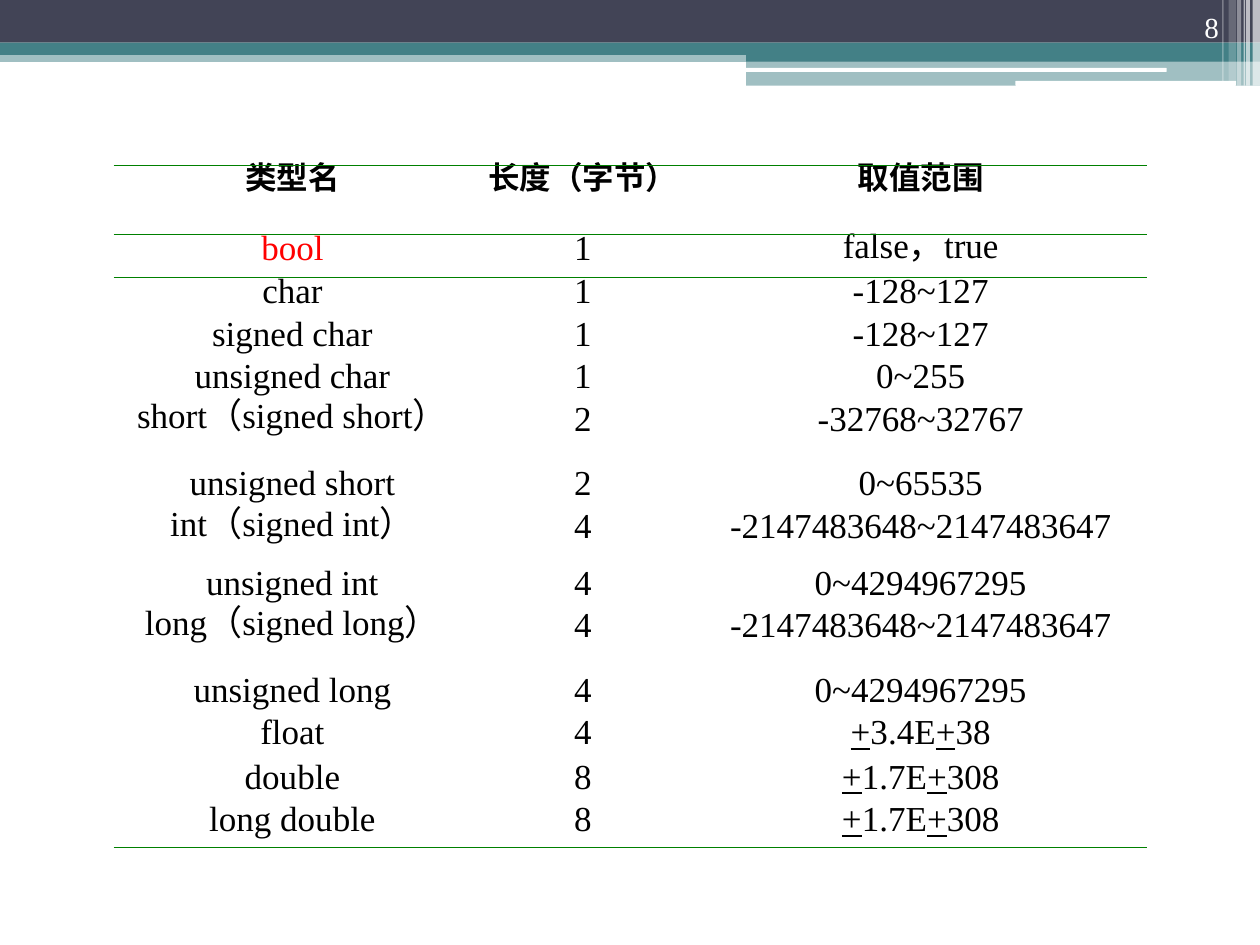
from itertools import groupby
from typing import NamedTuple

from lxml.etree import SubElement
from pptx import Presentation
from pptx.dml.color import RGBColor
from pptx.enum.shapes import MSO_SHAPE
from pptx.enum.text import MSO_ANCHOR, PP_ALIGN
from pptx.oxml.ns import qn
from pptx.util import Cm, Pt

WHITE = RGBColor(0xFF, 0xFF, 0xFF)
BLACK = RGBColor(0x00, 0x00, 0x00)
RED = RGBColor(0xFF, 0x00, 0x00)
GREEN = RGBColor(0x00, 0x80, 0x00)
TEAL = RGBColor(0x43, 0x80, 0x86)
SLATE = RGBColor(0x42, 0x44, 0x56)
FONT = "Times New Roman"
NO_GRID_STYLE = "{2D5ABB26-0587-4C30-8999-92F81FD0307C}"


class Band(NamedTuple):
    left: float
    top: float
    width: float
    height: float
    color: RGBColor
    opacity: int = 100
    preset: MSO_SHAPE = MSO_SHAPE.RECTANGLE


class TypeRow(NamedTuple):
    name: str
    size: str
    value_range: str
    height: float = 0.86


BANDS = [
    Band(0, 1.02, 25.4, 0.23, TEAL, 50),
    Band(0, 0, 25.4, 0.86, SLATE),
    Band(0, 0.86, 25.4, 0.25, TEAL),
    Band(15.04, 0.99, 10.36, 0.25, TEAL),
    Band(15.04, 1.22, 10.36, 0.51, TEAL, 50),
    Band(15.01, 1.37, 8.51, 0.08, WHITE, preset=MSO_SHAPE.ROUNDED_RECTANGLE),
    Band(20.47, 1.63, 4.45, 0.1, WHITE, preset=MSO_SHAPE.ROUNDED_RECTANGLE),
    # Light stripes in the corner
    Band(25.25, 0, 0.15, 1.73, WHITE, 65),
    Band(25.12, 0, 0.08, 1.73, WHITE, 65),
    Band(25.07, 0, 0.03, 1.73, WHITE, 60),
    Band(24.94, 0, 0.08, 1.73, WHITE, 40),
    Band(24.77, 0, 0.15, 1.63, WHITE, 20),
    Band(24.64, 0, 0.03, 1.63, WHITE, 30),
]

COLUMN_WIDTHS = [7.21, 4.5, 9.12]
TYPE_ROWS = [
    TypeRow("类型名", "长度（字节）", "取值范围", 1.4),
    TypeRow("bool", "1", "false，true"),
    TypeRow("char", "1", "-128~127"),
    TypeRow("signed char", "1", "-128~127"),
    TypeRow("unsigned char", "1", "0~255"),
    TypeRow("short（signed short）", "2", "-32768~32767", 1.3),
    TypeRow("unsigned short", "2", "0~65535"),
    TypeRow("int（signed int）", "4", "-2147483648~2147483647", 1.14),
    TypeRow("unsigned int", "4", "0~4294967295"),
    TypeRow("long（signed long）", "4", "-2147483648~2147483647", 1.3),
    TypeRow("unsigned long", "4", "0~4294967295"),
    TypeRow("float", "4", "+3.4E+38", 0.89),
    TypeRow("double", "8", "+1.7E+308"),
    TypeRow("long double", "8", "+1.7E+308", 0.84),
]


def draw_band(slide, band: Band) -> None:
    shape = slide.shapes.add_shape(band.preset, Cm(band.left), Cm(band.top),
                                   Cm(band.width), Cm(band.height))
    shape.shadow.inherit = False
    shape.line.fill.background()
    shape.fill.solid()
    shape.fill.fore_color.rgb = band.color
    if band.opacity < 100:
        color = shape.fill._xPr.find(f"{qn('a:solidFill')}/{qn('a:srgbClr')}")
        SubElement(color, qn("a:alpha"), val=str(band.opacity * 1000))


def draw_page_number(slide, number: str) -> None:
    box = slide.shapes.add_textbox(Cm(22.71), Cm(0), Cm(2.11), Cm(1.02))
    frame = box.text_frame
    frame.word_wrap = True
    frame.vertical_anchor = MSO_ANCHOR.BOTTOM
    paragraph = frame.paragraphs[0]
    paragraph.text = number
    paragraph.alignment = PP_ALIGN.RIGHT
    paragraph.line_spacing = 0.9
    paragraph.font.name = FONT
    paragraph.font.size = Pt(16.6)
    paragraph.font.color.rgb = WHITE


def add_border(cell, side: str, width: float) -> None:
    line = SubElement(cell._tc.get_or_add_tcPr(), qn(f"a:ln{side}"),
                      w=str(Pt(width)))
    fill = SubElement(line, qn("a:solidFill"))
    SubElement(fill, qn("a:srgbClr"), val=str(GREEN))


def write_cell(cell, text: str, is_header: bool, color: RGBColor) -> None:
    cell.margin_left = cell.margin_right = Cm(0.2)
    cell.margin_top = cell.margin_bottom = Cm(0.13)
    cell.fill.background()
    paragraph = cell.text_frame.paragraphs[0]
    paragraph.alignment = PP_ALIGN.CENTER
    paragraph.line_spacing = Pt(15.6)
    paragraph.font.name = FONT
    paragraph.font.size = Pt(18 if is_header else 20)
    paragraph.font.bold = is_header
    paragraph.font.color.rgb = color
    # An underlined plus stands for plus-minus
    for is_sign, letters in groupby(text, lambda letter: letter == "+"):
        run = paragraph.add_run()
        run.text = "".join(letters)
        if is_sign:
            run.font.underline = True


def draw_type_table(slide, rows: list[TypeRow]) -> None:
    frame = slide.shapes.add_table(
        len(rows), len(COLUMN_WIDTHS), Cm(2.29), Cm(3.33),
        Cm(sum(COLUMN_WIDTHS)), Cm(sum(row.height for row in rows)))
    table = frame.table
    table.first_row = table.horz_banding = False
    table._tbl.tblPr.find(qn("a:tableStyleId")).text = NO_GRID_STYLE
    for column, width in zip(table.columns, COLUMN_WIDTHS):
        column.width = Cm(width)

    last = len(rows) - 1
    borders = {0: [("T", 0.75), ("B", 0.45)], 1: [("T", 0.45)],
               last: [("B", 0.75)]}
    for r, row in enumerate(rows):
        table.rows[r].height = Cm(row.height)
        for c, text in enumerate((row.name, row.size, row.value_range)):
            cell = table.cell(r, c)
            for side, width in borders.get(r, []):
                add_border(cell, side, width)
            write_cell(cell, text, r == 0, RED if text == "bool" else BLACK)


def main() -> None:
    presentation = Presentation()
    presentation.slide_width = Cm(25.4)
    presentation.slide_height = Cm(19.05)
    slide = presentation.slides.add_slide(presentation.slide_layouts[6])

    # Header decoration
    for band in BANDS:
        draw_band(slide, band)
    draw_page_number(slide, "8")

    # Table of basic data types
    draw_type_table(slide, TYPE_ROWS)
    presentation.save("out.pptx")


if __name__ == "__main__":
    main()
